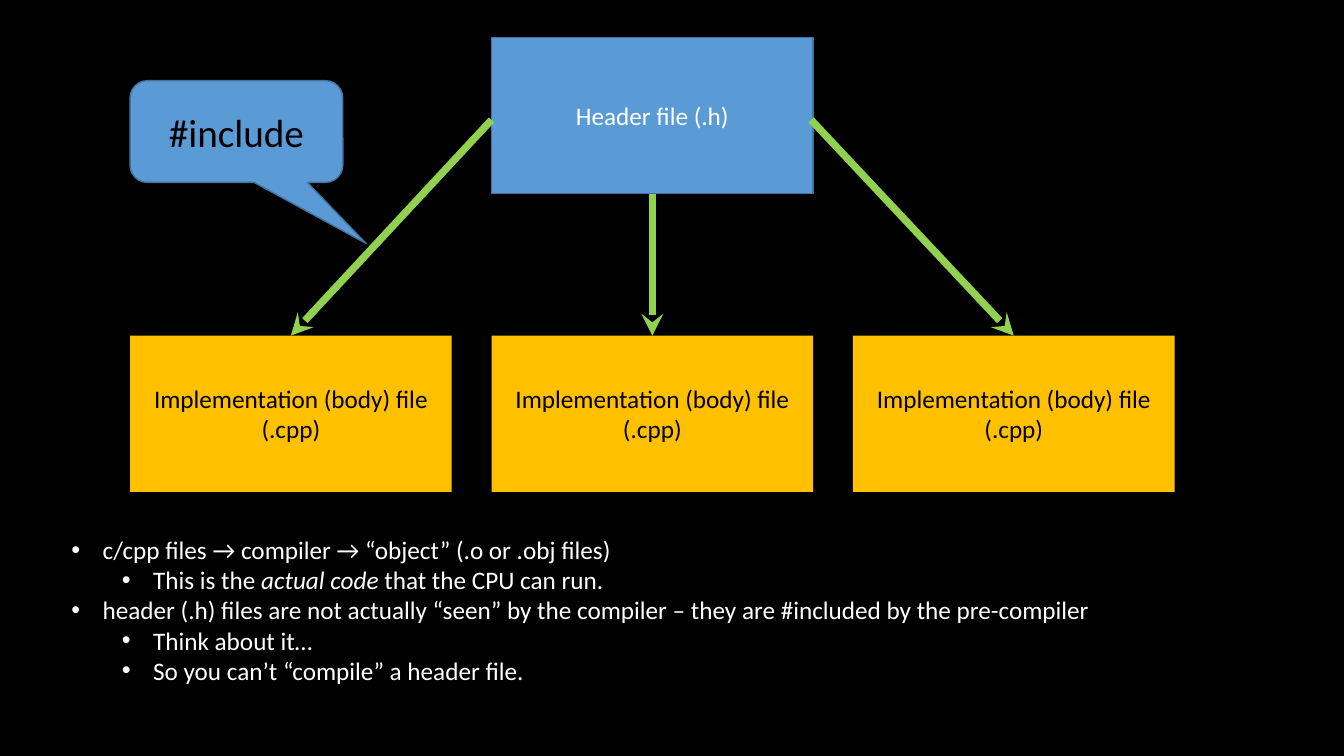
from collections import namedtuple
from dataclasses import dataclass

from lxml.etree import SubElement
from pptx import Presentation
from pptx.dml.color import RGBColor
from pptx.enum.shapes import MSO_CONNECTOR as Connector, MSO_SHAPE as Shape
from pptx.enum.text import MSO_ANCHOR as Anchor, MSO_AUTO_SIZE as AutoSize, PP_ALIGN as Align
from pptx.oxml.ns import qn
from pptx.util import Inches, Pt

Box = namedtuple("Box", "left top width height")


@dataclass(frozen=True)
class Theme:
    """Colours, font and type sizes of the slide."""
    black: str = "000000"
    white: str = "FFFFFF"
    blue: str = "5B9BD5"
    blue_edge: str = "43739E"
    gold: str = "FFC000"
    green: str = "92D050"
    font: str = "Calibri"
    body: int = 18
    callout: int = 28
    edge: float = 1
    arrow: float = 5.25


THEME = Theme()
NOTES = [
    (0, ["c/cpp files → compiler → “object” (.o or .obj files)"]),
    (1, ["This is the ", "actual code ", "that the CPU can run."]),
    (0, ["header (.h) files are not actually “seen” by the compiler – "
         "they are #included by the pre-compiler"]),
    (1, ["Think about it…"]),
    (1, ["So you can’t “compile” a header file."]),
]


def rgb(code):
    """Turn a hex code into a colour."""
    return RGBColor.from_string(code)


def lengths(values):
    """Turn numbers into inch lengths."""
    return [Inches(value) for value in values]


def add_span(para, text, size=THEME.body, color=THEME.white, italic=False):
    """Add a formatted run of text to a paragraph."""
    span = para.add_run()
    span.text = text
    span.font.name = THEME.font
    span.font.size = Pt(size)
    span.font.italic = italic
    span.font.color.rgb = rgb(color)


def add_block(page, box, text, fill, kind=Shape.RECTANGLE, edge=None, **style):
    """Add a filled shape with centred text."""
    block = page.shapes.add_shape(kind, *lengths(box))
    block.shadow.inherit = False
    block.fill.solid()
    block.fill.fore_color.rgb = rgb(fill)
    if edge:
        block.line.color.rgb = rgb(edge)
        block.line.width = Pt(THEME.edge)
    else:
        block.line.fill.background()
    frame = block.text_frame
    frame.word_wrap = True
    frame.vertical_anchor = Anchor.MIDDLE
    para = frame.paragraphs[0]
    para.alignment = Align.CENTER
    add_span(para, text, **style)
    return block


def add_arrow(page, start, end):
    """Add a thick green arrow between two points."""
    arrow = page.shapes.add_connector(Connector.STRAIGHT, *lengths(start + end))
    arrow.line.color.rgb = rgb(THEME.green)
    arrow.line.width = Pt(THEME.arrow)
    SubElement(arrow.line._get_or_add_ln(), qn("a:tailEnd"), type="stealth")
    SubElement(arrow._element.spPr, qn("a:effectLst"))


def add_diagram(page, box):
    """Draw the header file above the three body files that include it."""
    width, height = 3.19, 1.55
    step = (box.width - width) / 2
    header = Box(box.left + step, box.top, width, height)
    body_top = box.top + box.height - height
    add_block(page, header, "Header file (.h)", THEME.blue, edge=THEME.blue_edge)
    side = header.top + 0.82
    starts = [
        (header.left, side),
        (header.left + width / 2, header.top + height),
        (header.left + width - 0.02, side),
    ]
    for index in range(3):
        body = Box(box.left + index * step, body_top, width, height)
        add_block(page, body, "Implementation (body) file (.cpp)", THEME.gold, color=THEME.black)
    for index, start in enumerate(starts):
        add_arrow(page, start, (box.left + index * step + width / 2, body_top))


def add_notes(page, box):
    """Write the two-level bullet list."""
    frame = page.shapes.add_textbox(*lengths(box)).text_frame
    frame.word_wrap = True
    frame.auto_size = AutoSize.SHAPE_TO_FIT_TEXT
    for index, (level, parts) in enumerate(NOTES):
        para = frame.add_paragraph() if index else frame.paragraphs[0]
        para.level = level
        props = para._p.get_or_add_pPr()
        props.set("marL", str(Inches(0.31 + 0.5 * level)))
        props.set("indent", str(Inches(-0.31)))
        SubElement(props, qn("a:buFont"), typeface="Arial")
        SubElement(props, qn("a:buChar"), char="•")
        for position, text in enumerate(parts):
            add_span(para, text, italic=position == 1)


def add_callout(page, box):
    """Add the speech bubble that points at the left arrow."""
    callout = add_block(page, box, "#include", THEME.blue, kind=Shape.ROUNDED_RECTANGULAR_CALLOUT,
                        edge=THEME.blue_edge, size=THEME.callout, color=THEME.black)
    for index, value in enumerate((0.61, 1.1, 0.17)):
        callout.adjustments[index] = value


def main():
    """Build and save the deck."""
    deck = Presentation()
    deck.slide_width, deck.slide_height = Inches(13.33), Inches(7.5)
    page = deck.slides.add_slide(deck.slide_layouts[6])
    page.background.fill.solid()
    page.background.fill.fore_color.rgb = rgb(THEME.black)
    add_diagram(page, Box(1.29, 0.37, 10.36, 4.51))
    add_notes(page, Box(0.61, 5.25, 12.59, 1.62))
    add_callout(page, Box(1.29, 0.8, 2.11, 1.01))
    deck.save("out.pptx")


if __name__ == "__main__":
    main()
